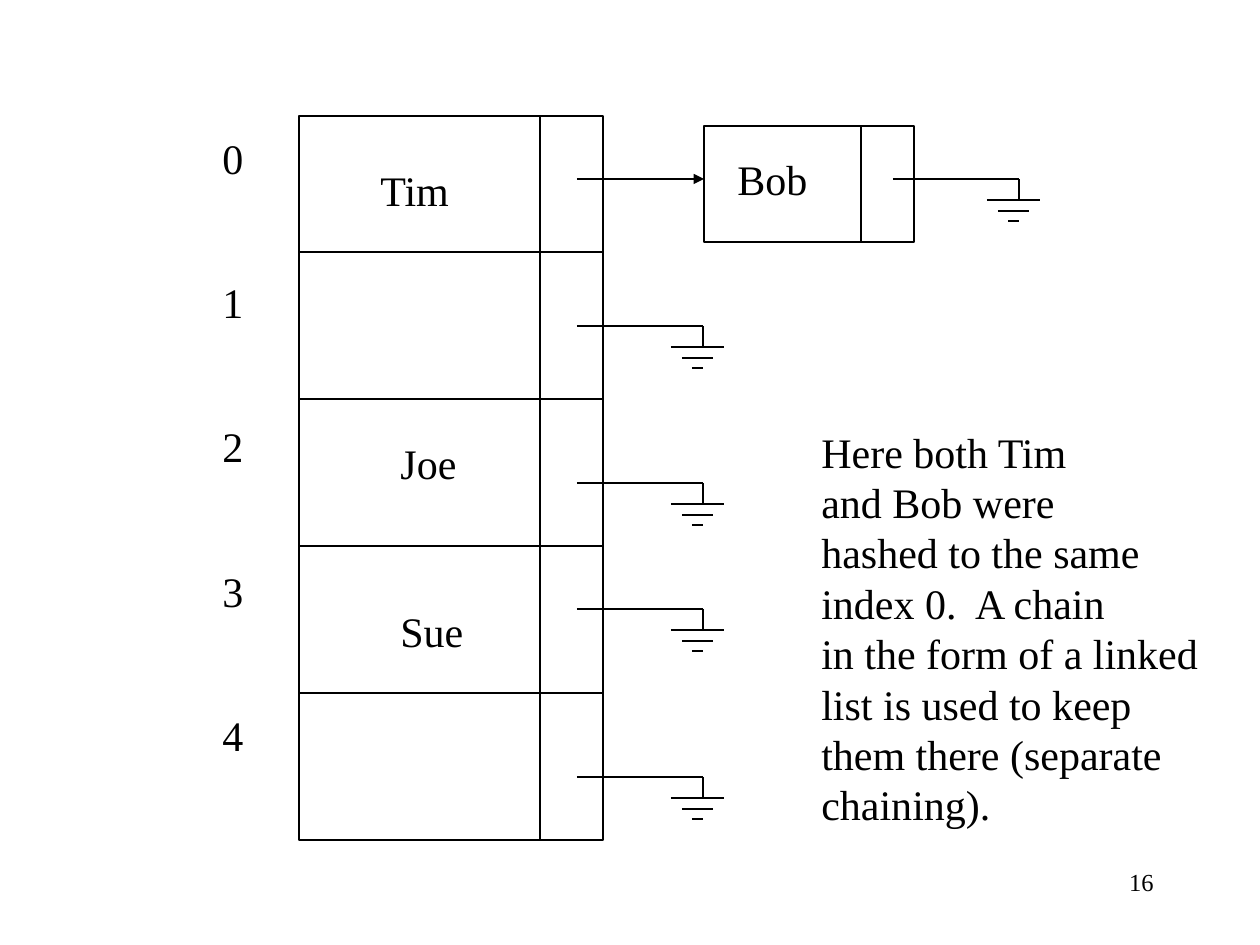
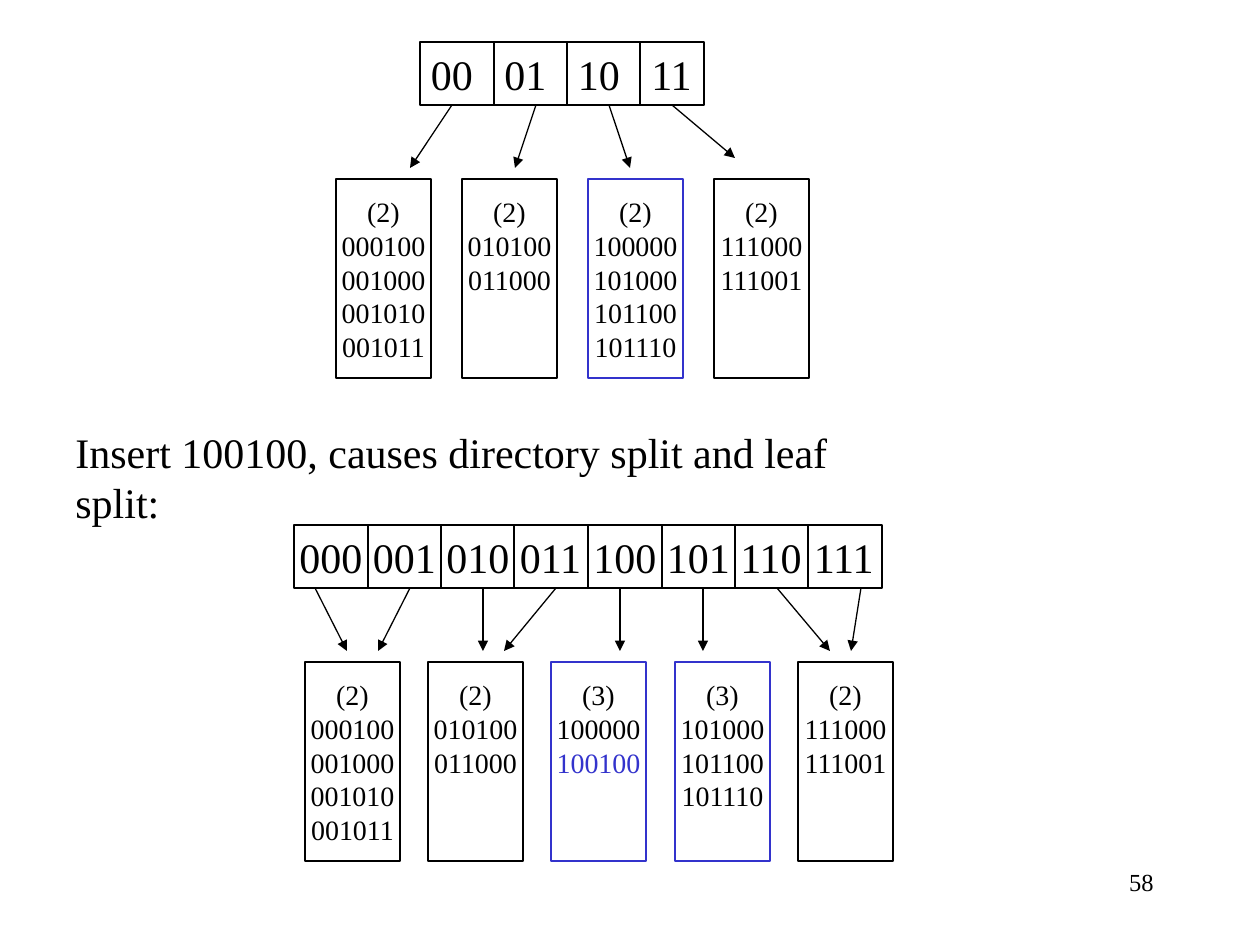
from dataclasses import dataclass

from lxml.etree import SubElement
from pptx import Presentation
from pptx.dml.color import RGBColor
from pptx.enum.shapes import MSO_CONNECTOR as Link, MSO_SHAPE as Preset
from pptx.enum.text import MSO_ANCHOR as Anchor, MSO_AUTO_SIZE as AutoSize, PP_ALIGN as Align
from pptx.oxml.ns import qn
from pptx.util import Pt

SCALE = 914400 / 126


@dataclass(frozen=True)
class Theme:
    """Colours, font and sizes shared by the slides."""
    ink: str = "000000"
    accent: str = "3333CC"
    font: str = "Times New Roman"
    body: int = 24
    key: int = 16
    number: int = 14
    stroke: float = 0.75


@dataclass(frozen=True)
class Box:
    """A region of a slide in pixels."""
    left: int
    top: int
    width: int
    height: int

    @property
    def right(self):
        """Return the right edge."""
        return self.left + self.width

    @property
    def bottom(self):
        """Return the bottom edge."""
        return self.top + self.height

    def emu(self):
        """Return the four lengths in EMU."""
        return [emu(n) for n in (self.left, self.top, self.width, self.height)]


THEME = Theme()


def emu(pixels):
    """Turn pixels into EMU."""
    return round(pixels * SCALE)


def style_text(frame, lines, size, align=Align.LEFT, marked=()):
    """Fill a frame with lines and format their runs, marked ones in the accent."""
    frame.text = "\n".join(lines)
    for para in frame.paragraphs:
        para.alignment = align
        for span in para.runs:
            span.font.name = THEME.font
            span.font.size = Pt(size)
            colour = THEME.accent if span.text in marked else THEME.ink
            span.font.color.rgb = RGBColor.from_string(colour)


def add_text(page, box, lines, size=THEME.body, align=Align.LEFT, wrap=False):
    """Add a text box."""
    frame = page.shapes.add_textbox(*box.emu()).text_frame
    frame.word_wrap = wrap
    frame.auto_size = AutoSize.NONE if align == Align.RIGHT else AutoSize.SHAPE_TO_FIT_TEXT
    style_text(frame, lines, size, align)


def set_stroke(shape, colour=THEME.ink):
    """Set the line colour and width of a shape or connector."""
    shape.line.color.rgb = RGBColor.from_string(colour)
    shape.line.width = Pt(THEME.stroke)


def add_rect(page, box, colour=THEME.ink):
    """Add an unfilled rectangle."""
    rect = page.shapes.add_shape(Preset.RECTANGLE, *box.emu())
    rect.shadow.inherit = False
    rect.fill.background()
    set_stroke(rect, colour)
    return rect


def add_line(page, x1, y1, x2, y2, arrow=False):
    """Add a straight line, with an arrowhead at its end if wanted."""
    line = page.shapes.add_connector(Link.STRAIGHT, *map(emu, (x1, y1, x2, y2)))
    set_stroke(line)
    if arrow:
        SubElement(line.line._get_or_add_ln(), qn("a:tailEnd"), type="triangle")
    SubElement(line._element.spPr, qn("a:effectLst"))


def add_page_number(page, number):
    """Add the slide number at the bottom right."""
    add_text(page, Box(935, 861, 231, 63), [number], THEME.number, Align.RIGHT, True)


def add_null_pointer(page, x, y):
    """Draw a pointer that ends in a ground symbol."""
    end = x + 126
    add_line(page, x, y, end, y)
    add_line(page, end, y, end, y + 21)
    for drop, start, stop in ((21, -32, 21), (32, -21, 10), (42, -11, 0)):
        add_line(page, end + start, y + drop, end + stop, y + drop)


def add_hash_table(page, box):
    """Draw the hash table with its indices, entries and pointers."""
    add_rect(page, box)
    divider = box.right - 63
    add_line(page, divider, box.top, divider, box.bottom)
    for row in range(1, 5):
        y = box.bottom - 147 * row
        add_line(page, box.left, y, box.right, y)
    for index in range(5):
        add_text(page, Box(box.left - 89, box.top + 10 + round(144.25 * index), 47, 63), [str(index)])
    for name, x, y, width in (("Tim", 69, 42, 96), ("Joe", 89, 315, 82), ("Sue", 89, 483, 88)):
        add_text(page, Box(box.left + x, box.top + y, width, 63), [name])
    start = box.right - 26
    add_line(page, start, box.top + 63, start + 127, box.top + 63, arrow=True)
    for y in (210, 367, 493, 661):
        add_null_pointer(page, start, box.top + y)


def add_chain_node(page, box, name):
    """Draw a linked list node with a null pointer."""
    add_rect(page, box)
    add_line(page, box.right - 53, box.top, box.right - 53, box.bottom)
    add_text(page, Box(box.left + 21, box.top + 21, 96, 63), [name])
    add_null_pointer(page, box.right - 21, box.top + 53)


def add_directory(page, box, keys, arrows):
    """Draw a directory of keys with arrows given as start, end and drop."""
    pitch = 73.5
    rect = add_rect(page, box)
    frame = rect.text_frame
    frame.word_wrap = False
    frame.vertical_anchor = Anchor.MIDDLE
    text_width = (len(keys) - 1) * pitch + len(keys[0]) * 21
    frame.margin_left = emu((box.width - text_width) / 2)
    frame.margin_right = 0
    style_text(frame, ["\t".join(keys)], THEME.body)
    tabs = SubElement(frame.paragraphs[0]._p.get_or_add_pPr(), qn("a:tabLst"))
    for slot in range(1, len(keys)):
        SubElement(tabs, qn("a:tab"), pos=str(emu(slot * pitch)), algn="l")
        x = box.left + round(slot * pitch)
        add_line(page, x, box.top, x, box.bottom)
    for start, end, drop in arrows:
        add_line(page, box.left + start, box.bottom, box.left + end, box.bottom + drop, arrow=True)


def add_leaves(page, box, leaves, marked=(), new=()):
    """Draw evenly spaced leaves, outlining the marked ones in the accent."""
    width = 95
    step = (box.width - width) / (len(leaves) - 1)
    for index, lines in enumerate(leaves):
        colour = THEME.accent if index in marked else THEME.ink
        leaf = add_rect(page, Box(box.left + round(index * step), box.top, width, box.height), colour)
        frame = leaf.text_frame
        frame.word_wrap = False
        frame.vertical_anchor = Anchor.TOP
        frame.margin_left = frame.margin_right = 0
        frame.margin_top = emu(16)
        style_text(frame, lines.split(), THEME.key, Align.CENTER, new)


def build_chaining(page):
    """Build the separate chaining slide."""
    add_hash_table(page, Box(299, 116, 304, 724))
    add_chain_node(page, Box(704, 126, 210, 116), "Bob")
    add_text(page, Box(809, 420, 402, 416), [
        "Here both Tim", "and Bob were", "hashed to the same", "index 0.  A chain",
        "in the form of a linked", "list is used to keep", "them there (separate", "chaining).",
    ])
    add_page_number(page, "16")


def build_directory_split(page):
    """Build the slide that shows a directory before and after its split."""
    low, middle, high = "(2) 000100 001000 001010 001011", "(2) 010100 011000", "(2) 111000 111001"
    add_directory(page, Box(420, 42, 284, 63), [f"{n:02b}" for n in range(4)],
                  [(32, -10, 63), (116, 95, 63), (189, 210, 63), (252, 315, 53)])
    add_leaves(page, Box(336, 179, 473, 199),
               [low, middle, "(2) 100000 101000 101100 101110", high], marked=(2,))
    add_text(page, Box(63, 420, 871, 63),
             ["Insert 100100, causes directory split and leaf split:"], wrap=True)
    ends = ((21, 53), (116, 84), (189, 189), (262, 210), (326, 326), (409, 409), (483, 536), (567, 557))
    add_directory(page, Box(294, 525, 588, 63), [f"{n:03b}" for n in range(8)],
                  [(start, end, 63) for start, end in ends])
    add_leaves(page, Box(305, 662, 588, 199),
               [low, middle, "(3) 100000 100100", "(3) 101000 101100 101110", high],
               marked=(2, 3), new=("100100",))
    add_page_number(page, "58")


def main():
    """Build and save the deck."""
    deck = Presentation()
    deck.slide_width, deck.slide_height = emu(1260), emu(945)
    for build in (build_chaining, build_directory_split):
        build(deck.slides.add_slide(deck.slide_layouts[6]))
    deck.save("out.pptx")


main()
